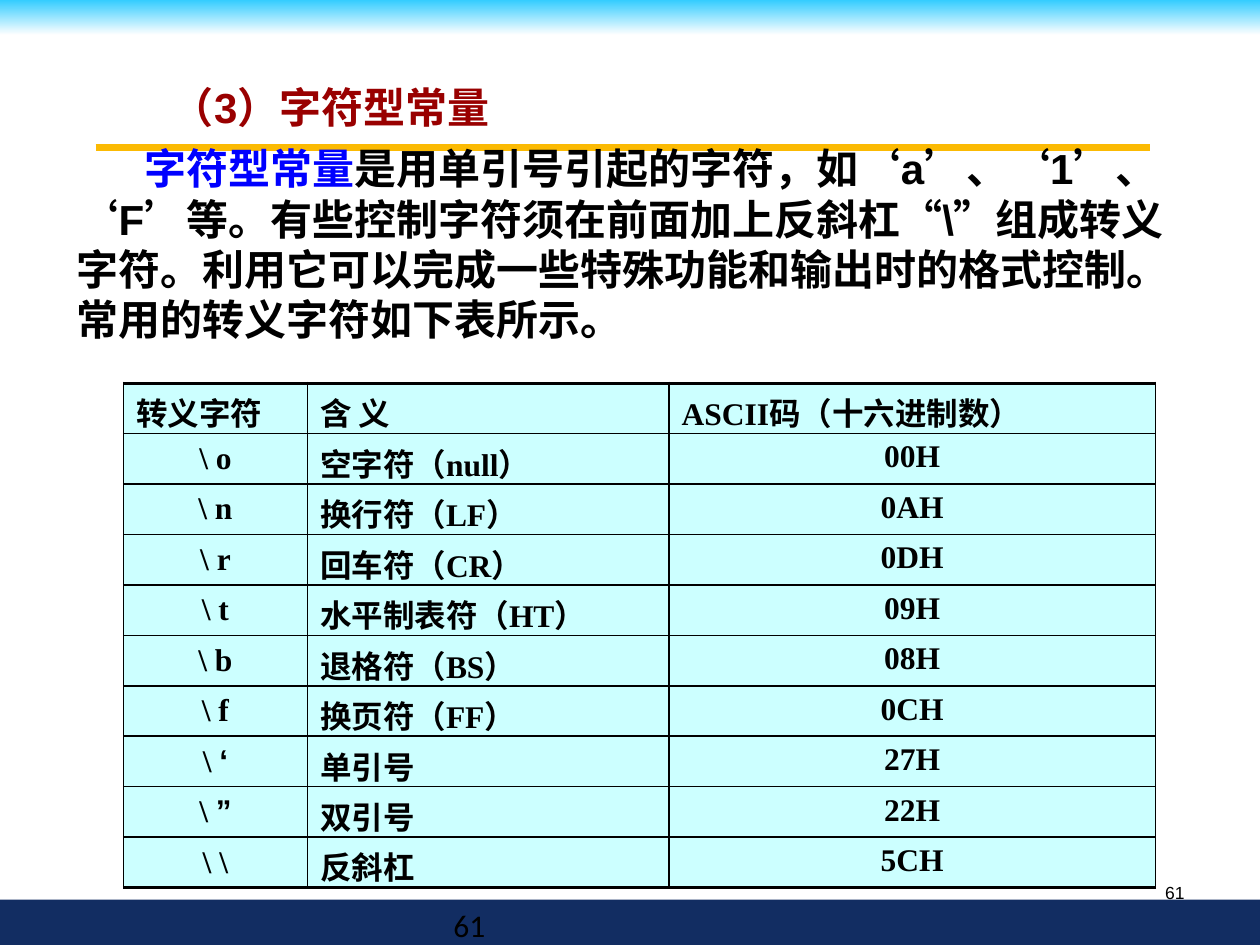
"""Build the slide on character constants and their escape sequences."""
from dataclasses import dataclass
from typing import Any, NamedTuple

from lxml.etree import SubElement
from pptx import Presentation
from pptx.dml.color import RGBColor
from pptx.enum.lang import MSO_LANGUAGE_ID
from pptx.enum.shapes import MSO_CONNECTOR, MSO_SHAPE
from pptx.enum.text import MSO_ANCHOR, MSO_AUTO_SIZE, PP_ALIGN
from pptx.oxml.ns import qn
from pptx.util import Pt


@dataclass(frozen=True)
class Theme:
    sky: str = "33CCFF"
    white: str = "FFFFFF"
    navy: str = "122D62"
    gold: str = "FBBA03"
    red: str = "990000"
    blue: str = "0000FF"
    black: str = "000000"
    cell: str = "CCFFFF"
    body_size: float = 24
    table_size: float = 18
    number_size: float = 10
    sans: str = "Arial"
    serif: str = "Times New Roman"
    footer: str = "Calibri"


class Area(NamedTuple):
    left: float
    top: float
    width: float
    height: float

    def lengths(self) -> list[Pt]:
        return [Pt(value) for value in self]


class Span(NamedTuple):
    text: str
    color: str
    size: float
    font: str
    bold: bool = False


class Line(NamedTuple):
    spans: list[Span]
    align: PP_ALIGN = PP_ALIGN.LEFT
    indent: float = 0
    before: float = 0


class Escape(NamedTuple):
    code: str
    meaning: str
    ascii_code: str


THEME = Theme()
HEADER = Escape("转义字符", "含 义", "ASCII码（十六进制数）")
ESCAPES = [
    Escape("\\ o", "空字符（null）", "00H"),
    Escape("\\ n", "换行符（LF）", "0AH"),
    Escape("\\ r", "回车符（CR）", "0DH"),
    Escape("\\ t", "水平制表符（HT）", "09H"),
    Escape("\\ b", "退格符（BS）", "08H"),
    Escape("\\ f", "换页符（FF）", "0CH"),
    Escape("\\ ‘", "单引号", "27H"),
    Escape("\\ ”", "双引号", "22H"),
    Escape("\\ \\", "反斜杠", "5CH"),
]
COLUMN_WIDTHS = [105.12, 206.64, 277.92]
ROW_HEIGHT = 28.8
EXPLANATION = (
    "是用单引号引起的字符，如‘a’、‘1’、‘F’等。有些控制字符须在前面加上反斜杠“\\”组成转义字符。"
    "利用它可以完成一些特殊功能和输出时的格式控制。常用的转义字符如下表所示。"
)


def apply(target: Any, values: dict[str, Any]) -> None:
    for name, value in values.items():
        setattr(target, name, value)


def write(frame: Any, lines: list[Line]) -> None:
    for index, line in enumerate(lines):
        paragraph = frame.add_paragraph() if index else frame.paragraphs[0]
        paragraph.alignment = line.align
        if line.indent:
            paragraph._p.get_or_add_pPr().set("indent", str(Pt(line.indent)))
        if line.before:
            paragraph.space_before = Pt(line.before)
        for span in line.spans:
            run = paragraph.add_run()
            run.text = span.text
            apply(run.font, {
                "size": Pt(span.size),
                "name": span.font,
                "bold": span.bold,
                "language_id": MSO_LANGUAGE_ID.SIMPLIFIED_CHINESE,
            })
            run.font.color.rgb = RGBColor.from_string(span.color)


def add_text(page: Any, area: Area, lines: list[Line], **formats: Any) -> None:
    frame = page.shapes.add_textbox(*area.lengths()).text_frame
    apply(frame, {"word_wrap": True, **formats})
    write(frame, lines)


def add_band(page: Any, area: Area, colors: list[str]) -> None:
    band = page.shapes.add_shape(MSO_SHAPE.RECTANGLE, *area.lengths())
    band.shadow.inherit = False
    band.line.fill.background()
    if len(colors) == 1:
        band.fill.solid()
        band.fill.fore_color.rgb = RGBColor.from_string(colors[0])
        return
    band.fill.gradient()
    band.fill.gradient_angle = 270
    for stop, color in zip(band.fill.gradient_stops, colors):
        stop.color.rgb = RGBColor.from_string(color)


def add_rule(page: Any, left: float, right: float, top: float) -> None:
    rule = page.shapes.add_connector(MSO_CONNECTOR.STRAIGHT, Pt(left), Pt(top), Pt(right), Pt(top))
    rule.line.width = Pt(3.75)
    rule.line.color.rgb = RGBColor.from_string(THEME.gold)
    SubElement(rule._element.spPr, qn("a:effectLst"))


def set_borders(cell: Any, widths: dict[str, float]) -> None:
    properties = cell._tc.get_or_add_tcPr()
    for position, (edge, width) in enumerate(widths.items()):
        border = SubElement(properties, qn(f"a:{edge}"), w=str(Pt(width)))
        fill = SubElement(border, qn("a:solidFill"))
        SubElement(fill, qn("a:srgbClr"), val=THEME.black)
        properties.insert(position, border)


def cell_spans(text: str) -> list[Span]:
    def styled(part: str, font: str) -> Span:
        return Span(part, THEME.black, THEME.table_size, font, True)

    if text[-1] in "‘”":
        return [styled(text[:-1], THEME.serif), styled(text[-1], THEME.sans)]
    return [styled(text, THEME.serif)]


def add_escape_table(page: Any, left: float, top: float) -> None:
    rows = [HEADER, *ESCAPES]
    area = Area(left, top, sum(COLUMN_WIDTHS), ROW_HEIGHT * len(rows))
    table = page.shapes.add_table(len(rows), len(COLUMN_WIDTHS), *area.lengths()).table
    for column, width in zip(table.columns, COLUMN_WIDTHS):
        column.width = Pt(width)
    last_row, last_column = len(rows) - 1, len(COLUMN_WIDTHS) - 1
    for r, row in enumerate(rows):
        table.rows[r].height = Pt(ROW_HEIGHT)
        for c, text in enumerate(row):
            cell = table.cell(r, c)
            cell.fill.solid()
            cell.fill.fore_color.rgb = RGBColor.from_string(THEME.cell)
            cell.vertical_anchor = MSO_ANCHOR.MIDDLE if r == 0 or c == 0 else MSO_ANCHOR.TOP
            align = PP_ALIGN.LEFT if r == 0 or c == 1 else PP_ALIGN.CENTER
            write(cell.text_frame, [Line(cell_spans(text), align)])
            set_borders(cell, {
                "lnL": 0.75 if c == 0 else 1,
                "lnR": 0.75 if c == last_column else 1,
                "lnT": 2 if r == 0 else 1,
                "lnB": 2 if r == last_row else 1,
            })


def main() -> None:
    deck = Presentation()
    apply(deck, {"slide_width": Pt(720), "slide_height": Pt(540)})
    page = deck.slides.add_slide(deck.slide_layouts[6])
    add_band(page, Area(0, 0, 720, 20), [THEME.sky, THEME.white])
    add_band(page, Area(0, 514, 720, 26), [THEME.navy])
    add_rule(page, 54.72, 657.36, 84.24)
    number = Span("61", THEME.black, THEME.number_size, THEME.sans)
    add_text(page, Area(516.24, 491.76, 167.76, 36), [Line([number], PP_ALIGN.RIGHT)],
             vertical_anchor=MSO_ANCHOR.MIDDLE)
    title, term, body = (
        Span(text, color, THEME.body_size, THEME.sans, True)
        for text, color in [("（3）字符型常量", THEME.red), ("字符型常量", THEME.blue),
                            (EXPLANATION, THEME.black)]
    )
    add_text(page, Area(36.72, 43.2, 635.76, 166.32),
             [Line([title], indent=54.5), Line([term, body], indent=39, before=6)],
             auto_size=MSO_AUTO_SIZE.SHAPE_TO_FIT_TEXT)
    add_escape_table(page, 70.56, 218.88)
    footer = Span("61", THEME.black, THEME.table_size, THEME.footer)
    add_text(page, Area(252, 514, 228.24, 25.2), [Line([footer])])
    deck.save("out.pptx")


if __name__ == "__main__":
    main()
